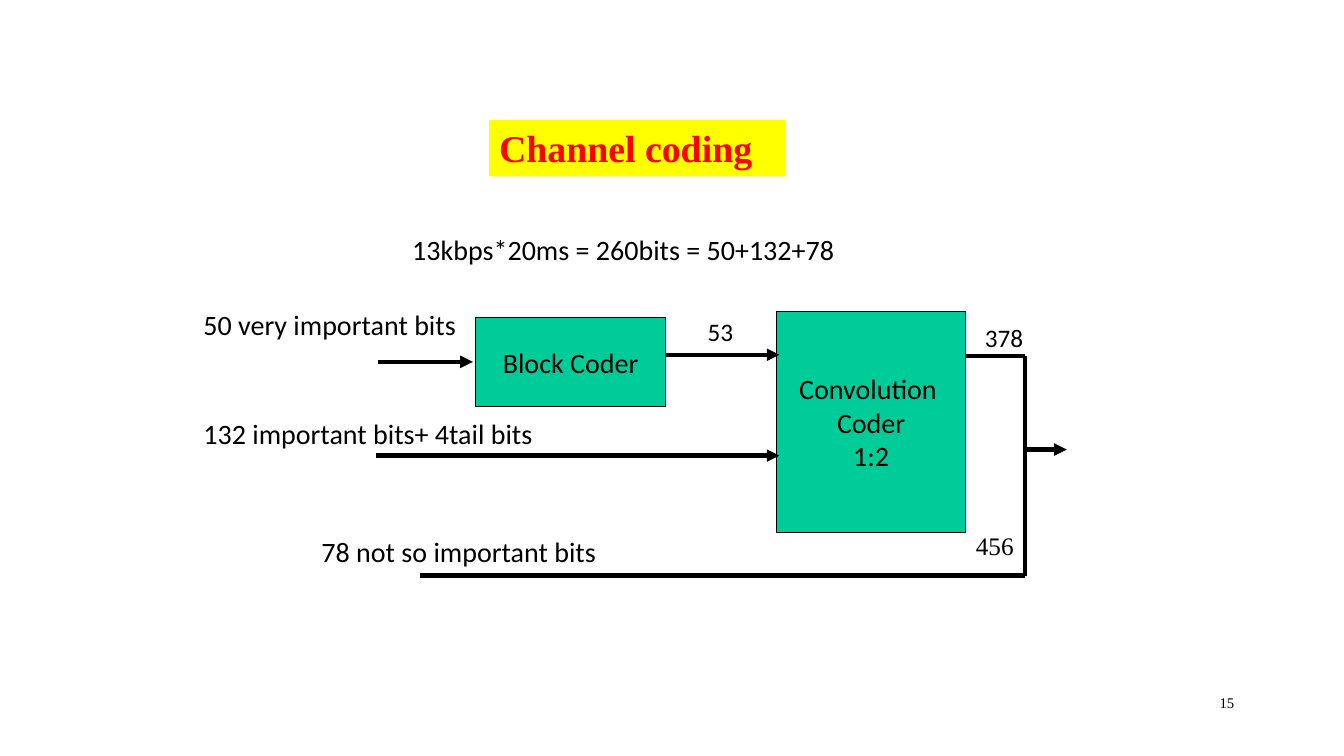
from lxml.etree import SubElement
from pptx import Presentation
from pptx.dml.color import RGBColor
from pptx.enum.shapes import MSO_CONNECTOR, MSO_SHAPE
from pptx.enum.text import MSO_ANCHOR, MSO_AUTO_SIZE, PP_ALIGN
from pptx.oxml.ns import qn
from pptx.util import Inches, Pt

BLACK = RGBColor(0x00, 0x00, 0x00)
RED = RGBColor(0xFF, 0x00, 0x00)
YELLOW = RGBColor(0xFF, 0xFF, 0x00)
GREEN = RGBColor(0x00, 0xCC, 0x99)
SANS, SERIF = "Calibri", "Times New Roman"

# Grid of 0.1 inch cells: every position below is in columns and rows
CELL = Inches(0.1)
COLUMNS, ROWS = 133.3, 75

# Shared edges of the diagram
BLOCK_LEFT, CONVOLUTION_LEFT, CODER_WIDTH = 47.2, 77, 18.8
BLOCK_RIGHT = BLOCK_LEFT + CODER_WIDTH
CONVOLUTION_RIGHT = CONVOLUTION_LEFT + CODER_WIDTH
ARROW_STOP = CONVOLUTION_LEFT + 0.3
BUS, BUS_TOP, BUS_BOTTOM = 101.7, 35.3, 57.1

# Text formats
TITLE = {"size": Pt(27), "name": SERIF, "bold": True, "color": RED}
LABEL = {"size": Pt(20), "name": SANS, "color": BLACK}
COUNT = {**LABEL, "size": Pt(18)}
TOTAL = {**COUNT, "name": SERIF}
PAGE = {**TOTAL, "size": Pt(10.5)}

# Content: text, (left, top, width, height), ...
HEADING = ("Channel coding", (48.5, 11.9, 29.4, 5.6))
CODERS = [
    (["Block Coder"], (BLOCK_LEFT, 31.5, CODER_WIDTH, 8.8)),
    (["Convolution ", "Coder", "1:2"], (CONVOLUTION_LEFT, 30.9, CODER_WIDTH, 21.9)),
]
LABELS = [
    ("13kbps*20ms = 260bits = 50+132+78", (39.9, 22.6, 55.6, 4.4), LABEL, PP_ALIGN.LEFT),
    ("50 very important bits", (19.2, 30, 30, 4.4), LABEL, PP_ALIGN.LEFT),
    ("132 important bits+ 4tail bits", (19.2, 40.8, 46.3, 4.4), LABEL, PP_ALIGN.LEFT),
    ("78 not so important bits", (30.9, 52.5, 35.1, 4.4), LABEL, PP_ALIGN.LEFT),
    ("53", (69.2, 30.9, 6.2, 4), COUNT, PP_ALIGN.LEFT),
    ("378", (96.7, 31.5, 7.5, 4), COUNT, PP_ALIGN.LEFT),
    ("456", (95.8, 52.1, 6.9, 4), TOTAL, PP_ALIGN.LEFT),
    ("15", (95.6, 68.3, 27.8, 5), PAGE, PP_ALIGN.RIGHT),
]
# Start, end, has an arrowhead
LINES = [
    ((37.5, 35.9), (46.9, 35.9), True),
    ((BLOCK_RIGHT, 35.2), (ARROW_STOP, 35.2), True),
    ((37.3, 45.2), (ARROW_STOP, 45.2), True),
    ((CONVOLUTION_RIGHT, BUS_TOP), (BUS, BUS_TOP), False),
    ((41.7, BUS_BOTTOM), (BUS, BUS_BOTTOM), False),
    ((BUS, BUS_BOTTOM), (BUS, BUS_TOP), False),
    ((BUS, 44.6), (105.8, 44.6), True),
]


def grid(values):
    return [round(value * CELL) for value in values]


def write(shape, lines, style, align=PP_ALIGN.LEFT, anchor=MSO_ANCHOR.TOP, wrap=True):
    frame = shape.text_frame
    frame.text = "\n".join(lines)
    frame.auto_size = MSO_AUTO_SIZE.NONE
    frame.word_wrap, frame.vertical_anchor = wrap, anchor
    for paragraph in frame.paragraphs:
        paragraph.alignment = align
        for run in paragraph.runs:
            for key, value in style.items():
                if key == "color":
                    run.font.color.rgb = value
                else:
                    setattr(run.font, key, value)


def fill(shape, color):
    shape.fill.solid()
    shape.fill.fore_color.rgb = color


presentation = Presentation()
presentation.slide_width, presentation.slide_height = grid((COLUMNS, ROWS))
slide = presentation.slides.add_slide(presentation.slide_layouts[5])

# Title
title = slide.shapes.title
text, area = HEADING
title.left, title.top, title.width, title.height = grid(area)
fill(title, YELLOW)
write(title, [text], TITLE)

# Coder boxes
for lines, area in CODERS:
    box = slide.shapes.add_shape(MSO_SHAPE.RECTANGLE, *grid(area))
    box.shadow.inherit = False
    fill(box, GREEN)
    box.line.color.rgb, box.line.width = BLACK, Pt(0.75)
    write(box, lines, LABEL, PP_ALIGN.CENTER, MSO_ANCHOR.MIDDLE, wrap=False)

# Signal lines
for start, end, arrow in LINES:
    connector = slide.shapes.add_connector(MSO_CONNECTOR.STRAIGHT, *grid(start + end))
    connector.line.color.rgb, connector.line.width = BLACK, Pt(3)
    if arrow:
        SubElement(connector.line._get_or_add_ln(), qn("a:tailEnd"), type="triangle")
    SubElement(connector._element.spPr, qn("a:effectLst"))

# Labels and slide number
for text, area, style, align in LABELS:
    write(slide.shapes.add_textbox(*grid(area)), [text], style, align)

presentation.save("out.pptx")
